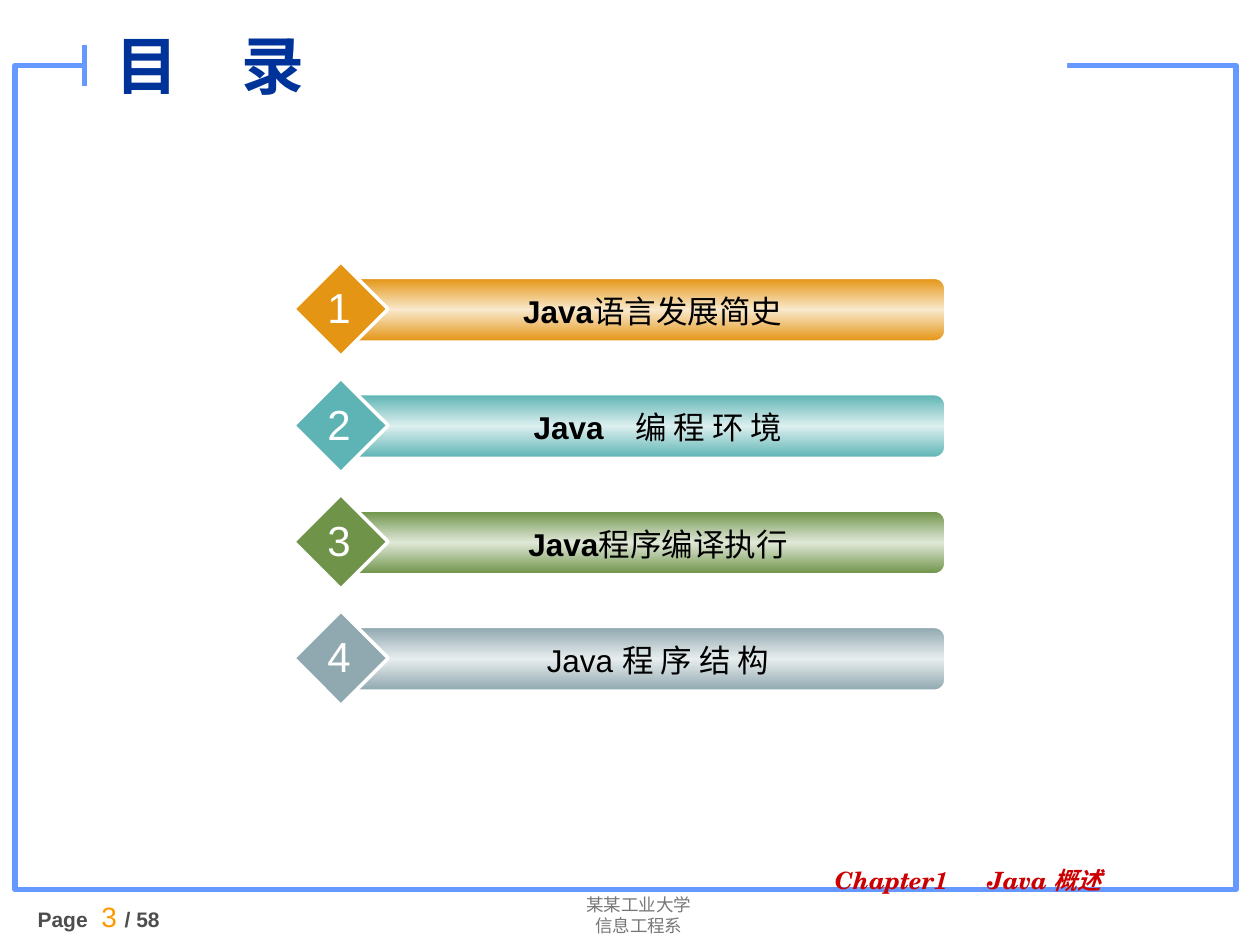
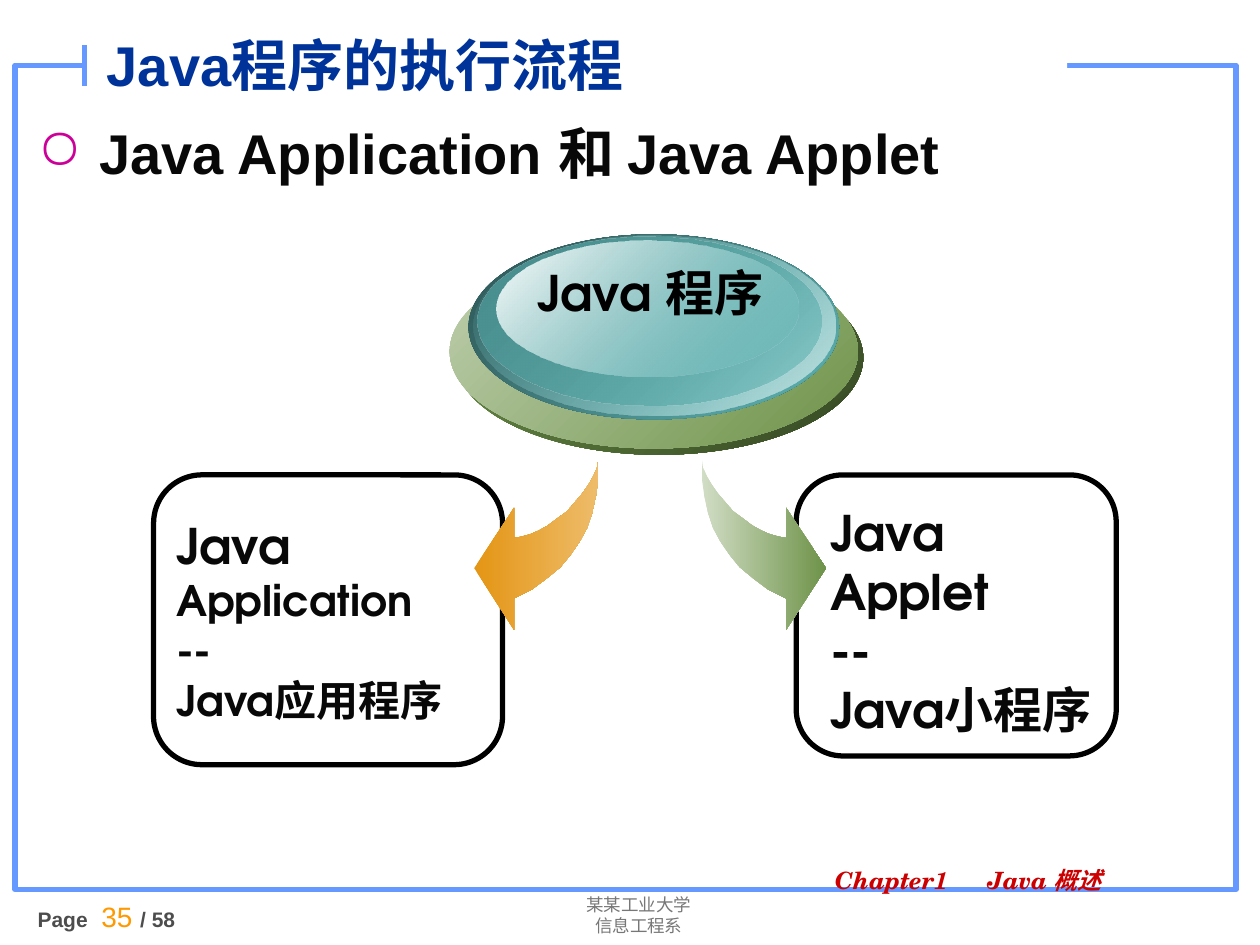
import lxml.etree
import pptx
import pptx.dml.color
import pptx.enum.shapes
import pptx.enum.text
import pptx.oxml.ns
import pptx.util

Pt = pptx.util.Pt
qn = pptx.oxml.ns.qn
SHAPE = pptx.enum.shapes.MSO_SHAPE
CENTER = pptx.enum.text.PP_ALIGN.CENTER
MIDDLE = pptx.enum.text.MSO_ANCHOR.MIDDLE

COLORS = {
    "white": "FFFFFF", "black": "000000", "ink": "080808",
    "frame": "6699FF", "title": "003399", "chapter": "CC0000",
    "school": "777777", "page": "4D4D4D", "number": "FF9900", "bullet": "CC0099",
    "orange": "E49514", "orange_mid": "EEBC6A", "orange_pale": "F9E9CD",
    "teal": "5EB4B4", "teal_pale": "DDEFEF", "teal_light": "C7E5E5",
    "teal_deep": "4A8F8F", "teal_dark": "2C5353",
    "green": "6E9349", "green_pale": "E0E8D8", "green_light": "D1DDC5",
    "green_mid": "BFCFAE", "green_dark": "354723",
    "gray": "90A8B0", "gray_pale": "E7EDEE",
}

SCHOOL = ["某某工业大学", "信息工程系"]
CHAPTER = "Chapter1\tJava 概述"
PAGE_COUNT = 58

CONTENTS_TITLE = "目　录"
CONTENTS = [
    ("Java", "语言发展简史", "orange", 314),
    ("Java　", "编 程 环 境", "teal", 320),
    ("Java", "程序编译执行", "green", 320),
    ("", "Java 程 序 结 构", "gray", 320),
]
FIRST_BAR_TOP, BAR_PITCH = 159, 66.5

FLOW_TITLE = "Java程序的执行流程"
FLOW_HEADING = "Java Application 和 Java Applet"
PROGRAM = "Java 程序"
PROGRAM_ELLIPSES = [
    ((260, 149, 233.3, 110.9), [("green",), ("green_dark",)]),
    ((257, 145.4, 233.3, 110.9), [("green_mid",), ("green",)]),
    ((267.8, 133.9, 211.7, 105.8), [("teal_dark",), ("teal",)]),
    ((270.7, 134.6, 206.6, 103), [("teal", 0), ("teal_light",)]),
    ((272.9, 135.4, 196.6, 96.5), [("teal_deep",), ("teal", 48)]),
    ((283.7, 137.5, 172.8, 77.8), [("white",), ("teal", 38)]),
]
APPLICATION = [
    [("Java ", {"size": 28}), ("Application", {})],
    "--",
    "Java应用程序",
]
APPLET = ["Java Applet", "--", "Java小程序"]
ARROW_TOP = 262.1
ARROW_OUTLINE = [
    (0, 0), (0, 10.8), (1.4, 20.9), (3.6, 31), (6.5, 39.6), (10.8, 47.5),
    (15.8, 54.7), (21.6, 61.9), (29.5, 68.4), (38.2, 74.9), (48.2, 79.9),
    (48.2, 97.9), (71, 62.6), (48.2, 28.1), (48.2, 45.4), (43.9, 44.6),
    (38.9, 43.2), (33.8, 41), (28.8, 38.2), (23, 33.8), (18, 30.2),
    (13.7, 25.2), (9.4, 20.2), (5.8, 15.1), (2.9, 10.1), (0.7, 5),
]


def rgb(name):
    return pptx.dml.color.RGBColor.from_string(COLORS[name])


def set_font(font, size=None, name=None, color=None, bold=None, italic=None):
    if size:
        font.size = Pt(size)
    if name:
        font.name = name
    if color:
        font.color.rgb = rgb(color)
    if bold is not None:
        font.bold = bold
    if italic is not None:
        font.italic = italic


def add_text(shapes, box, paragraphs, style, align=None, anchor=None, wrap=True,
             before=None, spacing=None, tab=None, bullet=None):
    frame = shapes.add_textbox(*map(Pt, box)).text_frame
    frame.word_wrap = wrap
    if anchor is not None:
        frame.vertical_anchor = anchor
    for index, content in enumerate(paragraphs):
        paragraph = frame.add_paragraph() if index else frame.paragraphs[0]
        if align is not None:
            paragraph.alignment = align
        if before:
            paragraph.space_before = Pt(before)
        if spacing:
            paragraph.line_spacing = spacing
        properties = paragraph._p.get_or_add_pPr()
        if bullet:
            character, color, indent = bullet
            properties.set("marL", str(Pt(indent)))
            properties.set("indent", str(-Pt(indent)))
            bullet_color = lxml.etree.SubElement(properties, qn("a:buClr"))
            lxml.etree.SubElement(bullet_color, qn("a:srgbClr"), val=COLORS[color])
            lxml.etree.SubElement(properties, qn("a:buChar"), char=character)
        if tab:
            tabs = lxml.etree.SubElement(properties, qn("a:tabLst"))
            lxml.etree.SubElement(tabs, qn("a:tab"), pos=str(Pt(tab)), algn="l")
        set_font(paragraph.font, **style)
        runs = [(content, {})] if isinstance(content, str) else content
        for text, changes in runs:
            run = paragraph.add_run()
            run.text = text
            set_font(run.font, **changes)


def paint(shape, fill=None, line=None, width=1, angle=0):
    shape.shadow.inherit = False
    if fill is None:
        shape.fill.background()
    elif isinstance(fill, str):
        shape.fill.solid()
        shape.fill.fore_color.rgb = rgb(fill)
    else:
        shape.fill.gradient()
        shape.fill.gradient_angle = -angle % 360
        stops = shape._element.spPr.find(".//" + qn("a:gsLst"))
        for stop in list(stops):
            stops.remove(stop)
        for index, (color, *opacity) in enumerate(fill):
            position = 100000 * index // (len(fill) - 1)
            stop = lxml.etree.SubElement(stops, qn("a:gs"), pos=str(position))
            value = lxml.etree.SubElement(stop, qn("a:srgbClr"), val=COLORS[color])
            if opacity:
                lxml.etree.SubElement(value, qn("a:alpha"), val=str(opacity[0] * 1000))
    if line:
        shape.line.color.rgb = rgb(line)
        shape.line.width = Pt(width)
    else:
        shape.line.fill.background()


def add_shape(shapes, kind, box, **look):
    shape = shapes.add_shape(kind, *map(Pt, box))
    paint(shape, **look)
    return shape


def add_slide(presentation, number, title, title_box, title_size):
    shapes = presentation.slides.add_slide(presentation.slide_layouts[6]).shapes
    add_shape(shapes, SHAPE.RECTANGLE, (8.6, 37.4, 697.7, 470.9), line="frame", width=3)
    add_shape(shapes, SHAPE.RECTANGLE, (48.2, 20.2, 561.6, 25.2), fill="white")
    add_text(shapes, (273.6, 507.6, 182.9, 31.7), SCHOOL,
             {"size": 10, "name": "Roboto", "color": "school"}, align=CENTER)
    page = [("Page ", {}),
            (f" {number} ", {"size": 16, "color": "number", "bold": False}),
            (f"/ {PAGE_COUNT}", {})]
    add_text(shapes, (14.4, 510.5, 130.3, 29), [page],
             {"size": 12, "name": "Arial", "color": "page", "bold": True}, before=7.5)
    tick = shapes.add_connector(pptx.enum.shapes.MSO_CONNECTOR.STRAIGHT,
                                Pt(48.2), Pt(25.9), Pt(48.2), Pt(49))
    tick.line.color.rgb = rgb("frame")
    tick.line.width = Pt(3)
    lxml.etree.SubElement(tick._element.spPr, qn("a:effectLst"))
    add_text(shapes, (470, 493.2, 197, 25.2), [CHAPTER],
             {"size": 13.6, "name": "TeX Gyre Schola", "color": "chapter",
              "bold": True, "italic": True}, spacing=0.9, tab=87)
    add_text(shapes, title_box, [title],
             {"size": title_size, "name": "Arial", "color": "title", "bold": True},
             anchor=MIDDLE)
    return shapes


def add_contents_row(slide_shapes, index, row):
    lead, rest, color, label_width = row
    top = FIRST_BAR_TOP + index * BAR_PITCH
    shapes = slide_shapes.add_group_shape().shapes
    add_shape(shapes, SHAPE.ROUNDED_RECTANGLE, (198, top, 342, 36),
              fill=[(color,), (color + "_pale",), (color,)], angle=90, line="white")
    add_shape(shapes, SHAPE.DIAMOND, (167.8, top - 9.4, 54, 54),
              fill=color, line="white", width=2)
    runs = [(lead, {"bold": True})] if lead else []
    add_text(shapes, (216, top + 4.4, label_width, 28.8), [runs + [(rest, {})]],
             {"size": 18, "name": "Arial", "color": "black", "bold": False}, align=CENTER)
    add_text(shapes, (180, top - 1.6, 27.4, 36), [str(index + 1)],
             {"size": 24, "name": "Arial", "color": "white"}, align=CENTER, wrap=False)


def add_arrow(shapes, tail, direction, stops):
    points = [(Pt(tail + direction * reach), Pt(ARROW_TOP + drop))
              for reach, drop in ARROW_OUTLINE]
    builder = shapes.build_freeform(*points[0])
    builder.add_line_segments(points[1:], close=True)
    paint(builder.convert_to_shape(), fill=stops)


def add_flow(slide_shapes):
    shapes = slide_shapes.add_group_shape().shapes
    label = {"size": 28, "name": "TeX Gyre Adventor", "color": "ink", "bold": True}
    add_shape(shapes, SHAPE.ROUNDED_RECTANGLE, (87.8, 271.4, 199.4, 165.6),
              line="black", width=3)
    add_text(shapes, (93.6, 290.9, 181.4, 127.4), APPLICATION, {**label, "size": 24})
    add_arrow(shapes, 342, -1, [("orange",), ("orange_mid",)])
    for box, stops in PROGRAM_ELLIPSES:
        add_shape(shapes, SHAPE.OVAL, box, fill=stops, angle=45)
    add_text(shapes, (299.5, 146.2, 144, 41), [PROGRAM],
             {**label, "color": "black"}, align=CENTER)
    add_shape(shapes, SHAPE.ROUNDED_RECTANGLE, (455, 271.4, 182.9, 160.6),
              line="black", width=3)
    add_text(shapes, (467.3, 283.7, 176.4, 108.7), APPLET, label)
    add_arrow(shapes, 401, 1, [("green_light",), ("green",)])


def main():
    presentation = pptx.Presentation()
    presentation.slide_width, presentation.slide_height = Pt(720), Pt(540)

    contents = add_slide(presentation, 3, CONTENTS_TITLE, (59, 7.9, 323.3, 57.6), 36)
    for index, row in enumerate(CONTENTS):
        add_contents_row(contents, index, row)

    flow = add_slide(presentation, 35, FLOW_TITLE, (54, 7.9, 487.4, 57.6), 32)
    add_text(flow, (14.4, 60.5, 686.2, 447.8), [FLOW_HEADING],
             {"size": 32, "name": "Arial", "color": "ink", "bold": True},
             before=8, spacing=1.1, bullet=("○", "bullet", 35.3))
    add_flow(flow)

    presentation.save("out.pptx")


if __name__ == "__main__":
    main()
